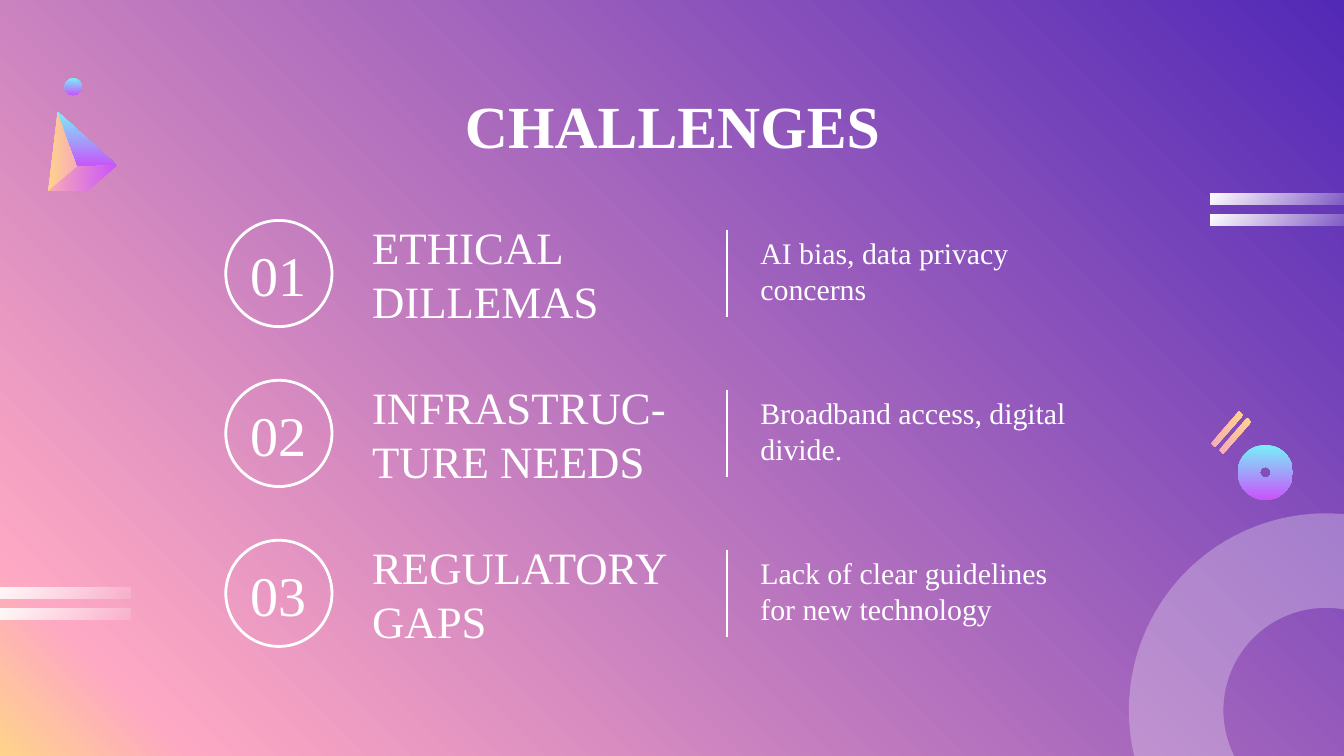
from lxml import etree
from pptx import Presentation
from pptx import util as u
from pptx.dml.color import RGBColor
from pptx.enum import shapes, text
from pptx.oxml.ns import qn

WHITE = RGBColor(0xFF, 0xFF, 0xFF)
INDIGO = RGBColor(0x52, 0x29, 0xB7)
PINK = RGBColor(0xFE, 0xA8, 0xC3)
YELLOW = RGBColor(0xFF, 0xD3, 0x8B)
ROSE = RGBColor(0xF7, 0xAB, 0xB7)
CYAN = RGBColor(0x78, 0xF0, 0xF9)
VIOLET = RGBColor(0xC9, 0x54, 0xFA)

SUNSET = [(0, INDIGO, 100), (91, PINK, 100), (100, YELLOW, 100)]
PEACH = [(0, ROSE, 100), (100, YELLOW, 100)]
NEON = [(0, CYAN, 100), (100, VIOLET, 100)]
ORCHID = [(0, ROSE, 100), (100, VIOLET, 100)]
FADE = [(0, WHITE, 100), (100, WHITE, 11)]

ROWS = [
    ("01", "ETHICAL DILLEMAS", "AI bias, data privacy concerns"),
    ("02", "INFRASTRUC-\nTURE NEEDS", "Broadband access, digital divide."),
    ("03", "REGULATORY GAPS", "Lack of clear guidelines for new technology"),
]
ROW_TOP, ROW_PITCH = 1.64, 1.19


class Deck:
    """Holds the text style and the current slide, and adds each kind of element."""

    font = {"name": "Times New Roman", "bold": False}
    line_width = u.Pt(1.5)

    def __init__(self, width, height):
        self.prs = Presentation()
        self.prs.slide_width, self.prs.slide_height = u.Inches(width), u.Inches(height)
        self.s = self.prs.slides.add_slide(self.prs.slide_layouts[6])

    def color(self, parent, rgb, alpha):
        clr = etree.SubElement(parent, qn("a:srgbClr"), val=str(rgb))
        if alpha < 100:
            etree.SubElement(clr, qn("a:alpha"), val=str(alpha * 1000))

    def gradient(self, fill, element, stops, angle):
        fill.gradient()
        fill.gradient_angle = -angle % 360
        gs_list = next(element.iter(qn("a:gsLst")))
        for gs in list(gs_list):
            gs_list.remove(gs)
        for pos, rgb, alpha in stops:
            gs = etree.SubElement(gs_list, qn("a:gs"), pos=str(pos * 1000))
            self.color(gs, rgb, alpha)

    def background(self, stops, angle):
        self.gradient(self.s.background.fill, self.s.element, stops, angle)

    def paint(self, sp, stops, angle):
        sp.shadow.inherit = False
        sp.line.fill.background()
        self.gradient(sp.fill, sp.element, stops, angle)

    def shape(self, kind, box, stops=None, angle=0, adj=None):
        sp = self.s.shapes.add_shape(kind, *map(u.Inches, box))
        if adj is not None:
            sp.adjustments[0] = adj
        if stops:
            self.paint(sp, stops, angle)
        return sp

    def ring(self, box, adj, rgb, alpha):
        sp = self.shape(shapes.MSO_SHAPE.DONUT, box, adj=adj)
        sp.shadow.inherit = False
        sp.line.fill.background()
        sp.fill.solid()
        sp.fill.fore_color.rgb = rgb
        clr = sp.element.spPr.find(qn("a:solidFill"))[0]
        etree.SubElement(clr, qn("a:alpha"), val=str(alpha * 1000))

    def circle(self, box):
        sp = self.shape(shapes.MSO_SHAPE.OVAL, box)
        sp.shadow.inherit = False
        sp.fill.background()
        sp.line.color.rgb, sp.line.width = WHITE, self.line_width

    def polygon(self, points, stops, angle):
        pts = [(u.Inches(x), u.Inches(y)) for x, y in points]
        builder = self.s.shapes.build_freeform(*pts[0])
        builder.add_line_segments(pts[1:], close=True)
        self.paint(builder.convert_to_shape(), stops, angle)

    def line(self, *ends):
        cxn = self.s.shapes.add_connector(shapes.MSO_CONNECTOR.STRAIGHT, *map(u.Inches, ends))
        cxn.line.color.rgb, cxn.line.width = WHITE, self.line_width
        etree.SubElement(cxn.element.spPr, qn("a:effectLst"))

    def label(self, words, box, size, align=text.PP_ALIGN.LEFT, **font):
        tf = self.s.shapes.add_textbox(*map(u.Inches, box)).text_frame
        frame = {"word_wrap": True, "vertical_anchor": text.MSO_ANCHOR.MIDDLE}
        frame.update({f"margin_{side}": u.Inches(0.1) for side in ("left", "top", "right", "bottom")})
        for name, value in frame.items():
            setattr(tf, name, value)
        p = tf.paragraphs[0]
        p.text, p.alignment = words, align
        for r in p.runs:
            for name, value in {**self.font, "size": u.Pt(size), **font}.items():
                setattr(r.font, name, value)
            r.font.color.rgb = WHITE


def main():
    deck = Deck(10, 10 * 9 / 16)
    center = text.PP_ALIGN.CENTER
    rect, oval, donut = (getattr(shapes.MSO_SHAPE, n) for n in ("RECTANGLE", "OVAL", "DONUT"))

    deck.background(SUNSET, 135)
    deck.ring((8.4, 3.82, 2.93, 2.93), 0.24, WHITE, 28)
    deck.label("CHALLENGES", (0.79, 0.66, 8.43, 0.53), 32, center, bold=True)

    for i, (number, heading, detail) in enumerate(ROWS):
        top = ROW_TOP + i * ROW_PITCH
        deck.circle((1.68, top, 0.79, 0.79))
        deck.label(number, (1.63, top + 0.11, 0.89, 0.58), 30, center)
        deck.label(heading, (2.67, top, 2.75, 0.79), 24)
        deck.label(detail, (5.56, top + 0.11, 2.56, 0.53), 16)
        deck.line(5.41, top + 0.07, 5.41, top + 0.72)

    apex, inner, left, right = (0.43, 0.83), (0.58, 1.24), (0.36, 1.42), (0.87, 1.23)
    deck.polygon([left, inner, apex], PEACH, 180)
    deck.polygon([apex, inner, right], NEON, 90)
    deck.polygon([right, inner, left, (0.65, 1.42)], ORCHID, 0)
    deck.shape(oval, (0.48, 0.58, 0.13, 0.13), NEON, 90)
    deck.shape(donut, (9.21, 3.31, 0.41, 0.41), NEON, 90, adj=0.4)

    for x, y in [(9.01, 3.06), (9.07, 3.11)]:
        deck.polygon([(x, y + 0.24), (x + 0.21, y), (x + 0.24, y + 0.03), (x + 0.03, y + 0.27)], PEACH, 0)
    for x, y in [(-0.09, 4.37), (9.01, 1.44)]:
        for dy in (0, 0.16):
            deck.shape(rect, (x, y + dy, 1.06, 0.08), FADE, 45)

    deck.prs.save("out.pptx")


if __name__ == "__main__":
    main()
